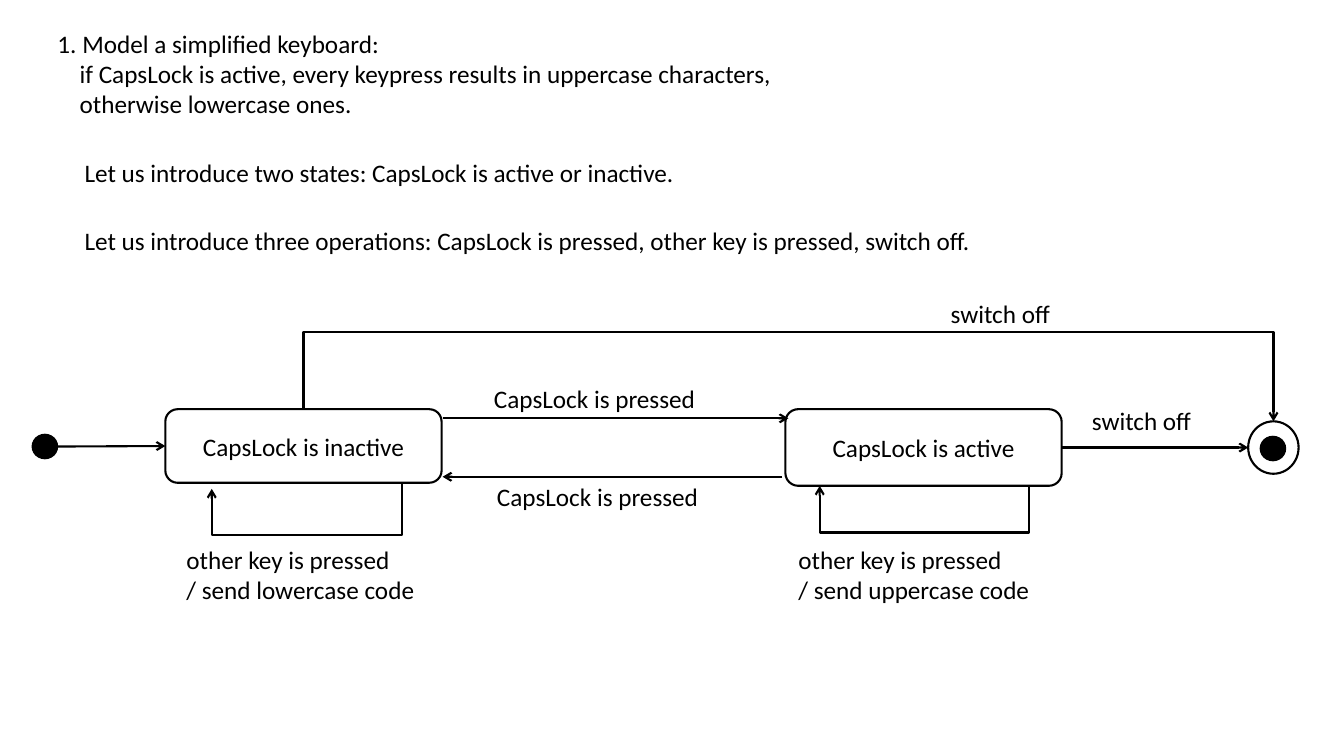
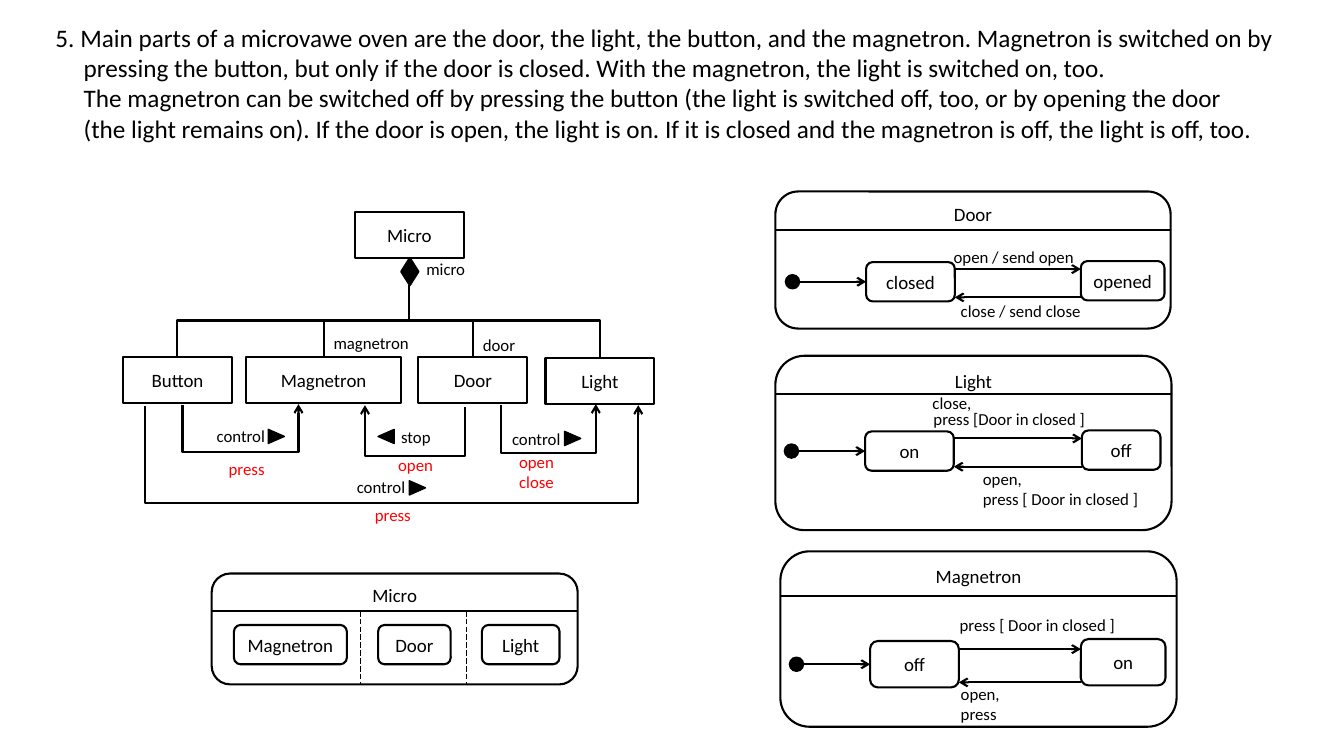
from lxml.etree import SubElement
from pptx import Presentation
from pptx.dml.color import RGBColor
from pptx.enum.dml import MSO_LINE
from pptx.enum.shapes import MSO_CONNECTOR, MSO_SHAPE
from pptx.enum.text import MSO_ANCHOR, MSO_AUTO_SIZE, PP_ALIGN
from pptx.oxml.ns import qn
from pptx.util import Inches, Pt

FONT = "Calibri"
COLORS = {"ink": "000000", "paper": "FFFFFF", "event": "FF0000"}

# Keyboard slide: boxes are left, top, width, height in inches
KEYBOARD_TITLE = ("1. Model a simplified keyboard:\n"
                  "if CapsLock is active, every keypress results in uppercase characters,\n"
                  "otherwise lowercase ones.")
KEYBOARD_TEXTS = [
    ("Let us introduce two states: CapsLock is active or inactive.", (0.74, 1.51, 6.18, 0.4)),
    ("Let us introduce three operations: CapsLock is pressed, other key is pressed, switch off.",
     (0.74, 2.19, 9.05, 0.4)),
    ("switch off", (9.33, 2.91, 1.22, 0.4)),
    ("switch off", (10.73, 3.97, 1.22, 0.4)),
    ("CapsLock is pressed", (4.8, 3.75, 2.22, 0.4)),
    ("CapsLock is pressed", (4.83, 4.73, 2.22, 0.4)),
    ("other key is pressed\n/ send lowercase code", (1.75, 5.35, 2.49, 0.71)),
    ("other key is pressed\n/ send uppercase code", (7.82, 5.35, 2.52, 0.71)),
]
INACTIVE = ("CapsLock is inactive", (1.64, 4.06, 2.74, 0.73))
ACTIVE = ("CapsLock is active", (7.79, 4.06, 2.74, 0.76))
# Elbows: start, end, height of the middle section
KEYBOARD_ELBOWS = [
    ((3.99, 4.8), (2.1, 4.85), 5.31),
    ((10.21, 4.81), (8.13, 4.82), 5.29),
    ((3.01, 4.06), (12.63, 4.18), 3.29),
]

# Microwave slide
OVEN_TITLE = (
    "5. Main parts of a microvawe oven are the door, the light, the button, and the magnetron. "
    "Magnetron is switched on by\n"
    "pressing the button, but only if the door is closed. With the magnetron, the light is switched on, too.\n"
    "The magnetron can be switched off by pressing the button (the light is switched off, too, "
    "or by opening the door\n"
    "(the light remains on). If the door is open, the light is on. "
    "If it is closed and the magnetron is off, the light is off, too.")
WHOLE = ("Micro", (3.52, 2.1, 1.08, 0.46))
PARTS = [
    ("Button", (1.22, 3.54, 1.08, 0.46)),
    ("Magnetron", (2.44, 3.54, 1.54, 0.46)),
    ("Door", (4.15, 3.54, 1.08, 0.46)),
    ("Light", (5.41, 3.55, 1.08, 0.46)),
]
MESSAGE_ELBOWS = [
    ((1.81, 4.02), (2.96, 4.01), 4.49),
    ((4.61, 4.04), (3.62, 4.02), 4.52),
    ((4.97, 4.02), (5.91, 4.01), 4.5),
    ((1.44, 4.03), (6.33, 4.02), 5.01),
]
# Direction marks: left, top, rotation
DIRECTION_MARKS = [(2.67, 4.25, 90), (3.76, 4.25, 270), (5.61, 4.27, 90), (4.07, 4.76, 90)]
OVEN_TEXTS = [
    ("micro", (4.13, 2.52, 0.59, 0.3), "ink"),
    ("magnetron", (3.21, 3.25, 0.96, 0.3), "ink"),
    ("door", (4.69, 3.27, 0.53, 0.3), "ink"),
    ("control", (2.05, 4.17, 0.69, 0.3), "ink"),
    ("stop", (3.88, 4.18, 0.5, 0.3), "ink"),
    ("control", (4.98, 4.2, 0.69, 0.3), "ink"),
    ("control", (3.44, 4.68, 0.69, 0.3), "ink"),
    ("press", (2.17, 4.5, 0.56, 0.3), "event"),
    ("open", (3.85, 4.46, 0.55, 0.3), "event"),
    ("open\nclose", (5.05, 4.43, 0.55, 0.5), "event"),
    ("press", (3.62, 4.96, 0.56, 0.3), "event"),
]
STATE_MACHINES = [
    {"frame": ("Door", (7.69, 1.9, 3.92, 1.36)), "header": 0.38,
     "first": ("closed", (8.59, 2.6, 0.88, 0.39)), "second": ("opened", (10.72, 2.59, 0.83, 0.39)),
     "forth": 2.67, "back": 2.95,
     "labels": [("open / send open", (9.36, 2.4, 1.41, 0.3)),
                ("close / send close", (9.43, 2.93, 1.41, 0.3))]},
    {"frame": ("Light", (7.69, 3.53, 3.93, 1.73)), "header": 0.38,
     "first": ("on", (8.58, 4.28, 0.88, 0.39)), "second": ("off", (10.73, 4.27, 0.78, 0.39)),
     "forth": 4.35, "back": 4.63,
     "labels": [("close,", (9.15, 3.85, 0.59, 0.3)),
                ("press [Door in closed ]", (9.16, 4.01, 1.72, 0.3)),
                ("open,\npress [ Door in closed ]", (9.65, 4.6, 1.76, 0.5))]},
    {"frame": ("Magnetron", (7.74, 5.47, 3.93, 1.74)), "header": 0.44,
     "first": ("off", (8.63, 6.36, 0.88, 0.46)), "second": ("on", (10.72, 6.34, 0.84, 0.46)),
     "forth": 6.44, "back": 6.77,
     "labels": [("press [ Door in closed ]", (9.42, 6.05, 1.76, 0.3)),
                ("open,\npress", (9.43, 6.73, 0.59, 0.5))]},
]
REGION_FRAME = ("Micro", (2.1, 5.69, 3.63, 1.1))
REGIONS = [
    ("Magnetron", (2.32, 6.2, 1.12, 0.39)),
    ("Door", (3.75, 6.2, 0.72, 0.39)),
    ("Light", (4.78, 6.2, 0.77, 0.39)),
]
REGION_BORDERS = [3.57, 4.63]


def color(name):
    return RGBColor.from_string(COLORS[name])


def write(text_frame, text, size=18, ink="ink", align=PP_ALIGN.LEFT,
          anchor=MSO_ANCHOR.TOP, wrap=False, indent=0):
    """Write one paragraph a line; lines after the first are indented."""
    text_frame.auto_size = MSO_AUTO_SIZE.NONE
    text_frame.word_wrap = wrap
    text_frame.vertical_anchor = anchor
    for number, line in enumerate(text.split("\n")):
        paragraph = text_frame.add_paragraph() if number else text_frame.paragraphs[0]
        paragraph.alignment = align
        if number and indent:
            paragraph._p.get_or_add_pPr().set("marL", str(Inches(indent)))
        run = paragraph.add_run()
        run.text = line
        run.font.name, run.font.size = FONT, Pt(size)
        run.font.color.rgb = color(ink)


def add_text(shapes, text, box, **text_format):
    write(shapes.add_textbox(*map(Inches, box)).text_frame, text, **text_format)


def add_shape(shapes, kind, box, fill="paper", width=1.5):
    shape = shapes.add_shape(kind, *map(Inches, box))
    shape.shadow.inherit = False
    if fill:
        shape.fill.solid()
        shape.fill.fore_color.rgb = color(fill)
    else:
        shape.fill.background()
    shape.line.color.rgb = color("ink")
    shape.line.width = Pt(width)
    return shape


def add_box(shapes, label, kind=MSO_SHAPE.ROUNDED_RECTANGLE, size=13.5, anchor=MSO_ANCHOR.MIDDLE):
    text, box = label
    shape = add_shape(shapes, kind, box)
    write(shape.text_frame, text, size=size, align=PP_ALIGN.CENTER, anchor=anchor, wrap=True)
    return shape


def add_line(shapes, start, end, arrow=True, width=1.5, dash=None, kind=MSO_CONNECTOR.STRAIGHT):
    line = shapes.add_connector(kind, *map(Inches, (*start, *end)))
    line.line.color.rgb = color("ink")
    line.line.width = Pt(width)
    if dash:
        line.line.dash_style = dash
    if arrow:
        SubElement(line.line._get_or_add_ln(), qn("a:tailEnd"), type="arrow")
    SubElement(line._element.spPr, qn("a:effectLst"))
    return line


def add_elbow(shapes, start, end, middle, arrow=True):
    """Vertical, horizontal, vertical: a turned elbow with its middle at the given height."""
    line = add_line(shapes, start, end, arrow, kind=MSO_CONNECTOR.ELBOW)
    (x1, y1), (x2, y2) = start, end
    across, down = abs(x2 - x1), abs(y2 - y1)
    line.left, line.top = Inches((x1 + x2 - down) / 2), Inches((y1 + y2 - across) / 2)
    line.width, line.height = Inches(down), Inches(across)
    same_sign = (x2 > x1) == (y2 > y1)
    frame = line._element.spPr.find(qn("a:xfrm"))
    frame.set("rot", str((270 if same_sign else 90) * 60000))
    frame.set("flipH", str(int(x2 > x1)))
    frame.set("flipV", str(int(y2 < y1)))
    geometry = line._element.spPr.find(qn("a:prstGeom"))
    adjustments = geometry.find(qn("a:avLst"))
    if adjustments is None:
        adjustments = SubElement(geometry, qn("a:avLst"))
    share = round((middle - y1) / (y2 - y1) * 100000)
    SubElement(adjustments, qn("a:gd"), name="adj1", fmla=f"val {share}")


def add_frame(shapes, label, header):
    """A composite state: titled frame with a line under the title."""
    left, top, width, _ = label[1]
    add_box(shapes, label, anchor=MSO_ANCHOR.TOP)
    add_line(shapes, (left, top + header), (left + width, top + header), arrow=False)


def add_state_machine(slide, machine):
    shapes = slide.shapes.add_group_shape().shapes
    add_frame(shapes, machine["frame"], machine["header"])
    first = add_box(shapes, machine["first"])
    add_box(shapes, machine["second"])
    left, top, width, height = machine["first"][1]
    right, next_left, middle = left + width, machine["second"][1][0], top + height / 2
    add_line(shapes, (right, machine["forth"]), (next_left, machine["forth"]))
    add_line(shapes, (next_left, machine["back"]), (right, machine["back"]))
    add_shape(shapes, MSO_SHAPE.OVAL, (left - 0.8, middle - 0.07, 0.14, 0.14), "ink", 1)
    add_line(shapes, (left - 0.66, middle), (left, middle)).end_connect(first, 1)
    for text, box in machine["labels"]:
        add_text(shapes, text, box, size=12)


def add_slide(presentation, title, box, indent):
    slide = presentation.slides.add_slide(presentation.slide_layouts[5])
    placeholder = slide.shapes.title
    placeholder.left, placeholder.top, placeholder.width, placeholder.height = map(Inches, box)
    write(placeholder.text_frame, title, indent=indent)
    return slide


def build_keyboard(presentation):
    slide = add_slide(presentation, KEYBOARD_TITLE, (0.47, 0.23, 7.43, 1.01), 0.22)
    shapes = slide.shapes
    for elbow in KEYBOARD_ELBOWS:
        add_elbow(shapes, *elbow)
    inactive, active = (add_box(shapes, state, size=18) for state in (INACTIVE, ACTIVE))
    # Transitions
    add_line(shapes, (4.39, 4.15), (7.82, 4.15))
    add_line(shapes, (7.76, 4.73), (4.39, 4.73))
    add_line(shapes, (0.57, 4.43), (1.64, 4.43)).end_connect(inactive, 1)
    add_line(shapes, (10.53, 4.44), (12.38, 4.44)).begin_connect(active, 3)
    # Initial and final states
    add_shape(shapes, MSO_SHAPE.OVAL, (0.32, 4.31, 0.25, 0.24), "ink", 1)
    add_shape(shapes, MSO_SHAPE.OVAL, (12.38, 4.18, 0.5, 0.52), None)
    add_shape(shapes, MSO_SHAPE.OVAL, (12.5, 4.33, 0.25, 0.24), "ink", 1)
    for text, box in KEYBOARD_TEXTS:
        add_text(shapes, text, box)


def build_oven(presentation):
    slide = add_slide(presentation, OVEN_TITLE, (0.45, 0.17, 12.43, 1.31), 0.28)
    shapes = slide.shapes
    for machine in STATE_MACHINES:
        add_state_machine(slide, machine)
    # Concurrent regions
    regions = shapes.add_group_shape().shapes
    add_frame(regions, REGION_FRAME, 0.37)
    for region in REGIONS:
        add_box(regions, region)
    for x in REGION_BORDERS:
        add_line(regions, (x, 6.06), (x, 6.79), arrow=False, width=0.5, dash=MSO_LINE.LONG_DASH)
    # Composition tree
    add_box(shapes, WHOLE, MSO_SHAPE.RECTANGLE)
    add_shape(shapes, MSO_SHAPE.DIAMOND, (3.98, 2.56, 0.17, 0.27), "ink")
    for part in PARTS:
        left, top, width, _ = part[1]
        add_box(shapes, part, MSO_SHAPE.RECTANGLE)
        add_elbow(shapes, (left + width / 2, top), (4.06, 2.83), 3.18, arrow=False)
    # Messages
    for elbow in MESSAGE_ELBOWS:
        add_elbow(shapes, *elbow)
    for left, top, rotation in DIRECTION_MARKS:
        mark = add_shape(shapes, MSO_SHAPE.ISOSCELES_TRIANGLE, (left, top, 0.14, 0.16), "ink", 1)
        mark.rotation = rotation
    for text, box, ink in OVEN_TEXTS:
        add_text(shapes, text, box, size=12, ink=ink)


def main():
    presentation = Presentation()
    presentation.slide_width, presentation.slide_height = Inches(13.33), Inches(7.5)
    build_keyboard(presentation)
    build_oven(presentation)
    presentation.save("out.pptx")


if __name__ == "__main__":
    main()
